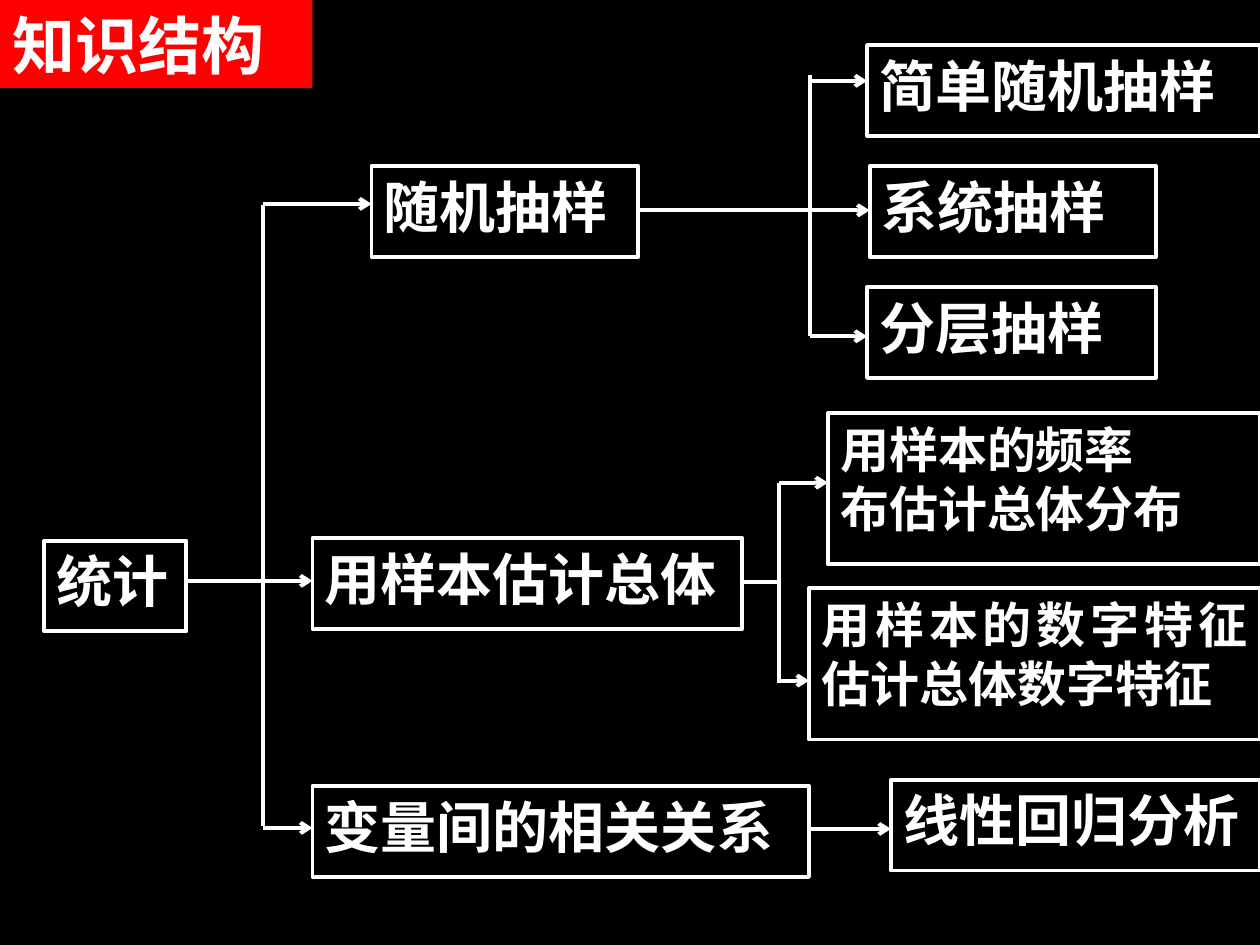
from lxml import etree
from pptx import Presentation
from pptx.dml.color import RGBColor
from pptx.enum.shapes import MSO_CONNECTOR, MSO_SHAPE
from pptx.enum.text import MSO_ANCHOR, PP_ALIGN
from pptx.oxml.ns import qn
from pptx.util import Cm, Pt

STRAIGHT = MSO_CONNECTOR.STRAIGHT
RECT = MSO_SHAPE.RECTANGLE
TOP = MSO_ANCHOR.TOP
LEFT, JUSTIFY = PP_ALIGN.LEFT, PP_ALIGN.JUSTIFY

COLORS = {"background": "000000", "banner": "FF0000", "ink": "FFFFFF"}
RGB = {name: RGBColor.from_string(value) for name, value in COLORS.items()}
LINE_WIDTH = Pt(2.25)

TITLE = "知识结构"
TITLE_FONT = {"name": "Arial", "size": Pt(36), "bold": True}
BOX_FONTS = {
    1: {"name": "Times New Roman", "size": Pt(32), "bold": True},
    2: {"name": "Times New Roman", "size": Pt(28), "bold": True},
}
BOX_HEIGHTS = {1: 1.83, 2: 3.05}

# name: left, top, width, text rows, paragraphs
BOXES = {
    "statistics": (0.89, 10.9, 2.87, 1, ["统计"]),
    "estimation": (6.3, 10.85, 8.66, 1, ["用样本估计总体"]),
    "sampling": (7.49, 3.35, 5.38, 1, ["随机抽样"]),
    "simple": (17.48, 0.91, 7.92, 1, ["简单随机抽样"]),
    "systematic": (17.53, 3.35, 5.77, 1, ["系统抽样"]),
    "stratified": (17.48, 5.79, 5.82, 1, ["分层抽样"]),
    "correlation": (6.3, 15.85, 10.01, 1, ["变量间的相关关系"]),
    "frequency": (16.69, 8.33, 8.71, 2, ["用样本的频率", "布估计总体分布"]),
    "features": (16.31, 11.86, 9.09, 2, ["用样本的数字特征估计总体数字特征"]),
    "regression": (17.96, 15.72, 7.44, 1, ["线性回归分析"]),
}
ROOT_X, SAMPLING_X, ESTIMATION_X = 5.31, 16.33, 15.7
ARROWS = [
    (ROOT_X, 4.11, "sampling"),
    (3.76, 11.71, "estimation"),
    (ROOT_X, 16.69, "correlation"),
    (SAMPLING_X, 1.63, "simple"),
    (12.9, 4.24, "systematic"),
    (SAMPLING_X, 6.78, "stratified"),
    (ESTIMATION_X, 9.73, "frequency"),
    (ESTIMATION_X, 13.72, "features"),
    (16.31, 16.71, "regression"),
]
STEMS = [
    (ROOT_X, 4.14, ROOT_X, 16.66),
    (SAMPLING_X, 1.52, SAMPLING_X, 6.78),
    (ESTIMATION_X, 9.73, ESTIMATION_X, 13.77),
    (14.91, 11.73, ESTIMATION_X, 11.73),
]


def write(sp, paragraphs, font, align):
    tf = sp.text_frame
    tf.word_wrap = True
    tf.vertical_anchor = TOP
    tf.text = "\n".join(paragraphs)
    for p in tf.paragraphs:
        p.alignment = align
        for r in p.runs:
            for key, value in font.items():
                setattr(r.font, key, value)
            r.font.color.rgb = RGB["ink"]


def stroke(sp):
    sp.line.color.rgb = RGB["ink"]
    sp.line.width = LINE_WIDTH


def add_box(s, left, top, width, rows, paragraphs):
    size = (left, top, width, BOX_HEIGHTS[rows])
    sp = s.shapes.add_shape(RECT, *map(Cm, size))
    sp.shadow.inherit = False
    sp.fill.background()
    stroke(sp)
    write(sp, paragraphs, BOX_FONTS[rows], JUSTIFY)


def add_line(s, ends, arrow=False):
    line = s.shapes.add_connector(STRAIGHT, *map(Cm, ends))
    stroke(line)
    if arrow:
        etree.SubElement(line.line._get_or_add_ln(), qn("a:tailEnd"), type="arrow")
    etree.SubElement(line._element.spPr, qn("a:effectLst"))


def main():
    prs = Presentation()
    prs.slide_width, prs.slide_height = Cm(25.4), Cm(19.05)
    s = prs.slides.add_slide(prs.slide_layouts[5])
    s.background.fill.solid()
    s.background.fill.fore_color.rgb = RGB["background"]

    title = s.shapes.title
    title.left, title.top, title.width, title.height = map(Cm, (0, 0, 6.3, 1.78))
    title.fill.solid()
    title.fill.fore_color.rgb = RGB["banner"]
    write(title, [TITLE], TITLE_FONT, LEFT)

    for box in BOXES.values():
        add_box(s, *box)
    for x, y, target in ARROWS:
        add_line(s, (x, y, BOXES[target][0], y), arrow=True)
    for ends in STEMS:
        add_line(s, ends)

    prs.save("out.pptx")


if __name__ == "__main__":
    main()
